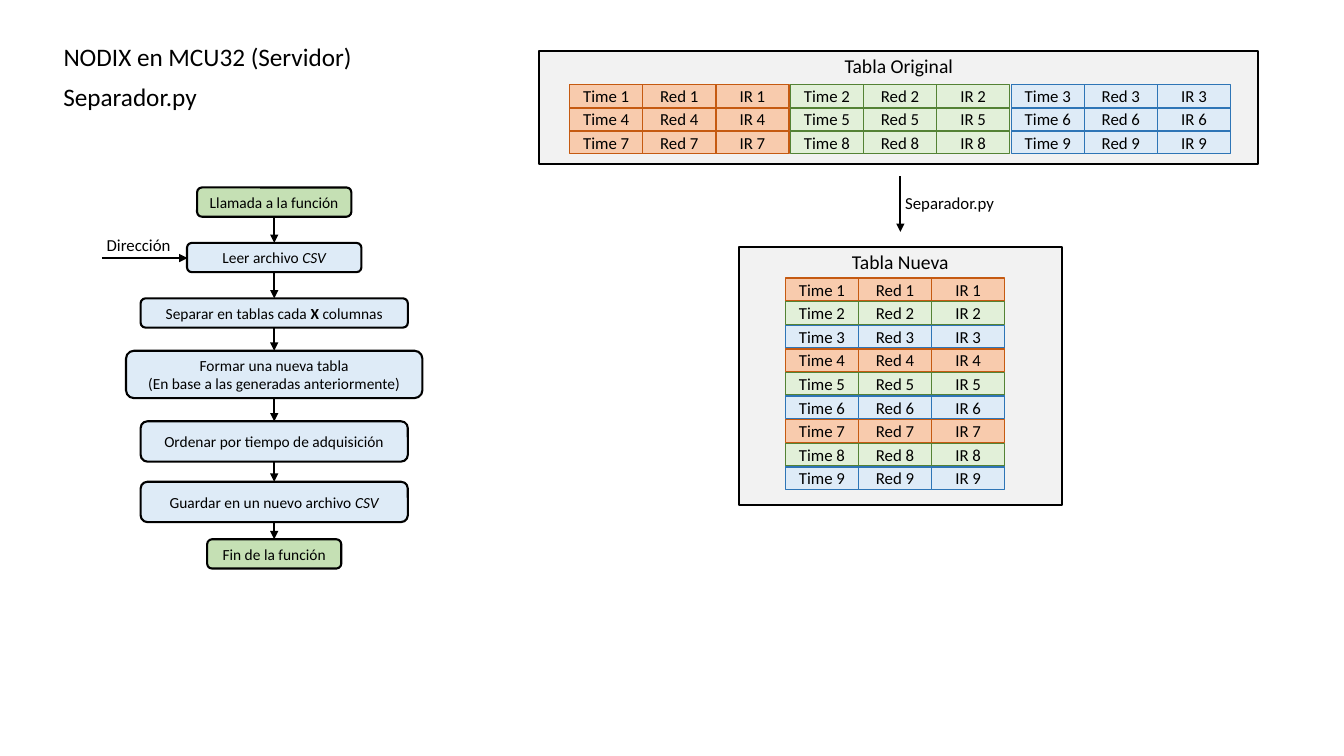
from dataclasses import dataclass

from lxml import etree
from pptx import Presentation
from pptx.dml.color import RGBColor
from pptx.enum.shapes import MSO_CONNECTOR, MSO_SHAPE
from pptx.enum.text import MSO_ANCHOR, PP_ALIGN
from pptx.oxml.ns import qn
from pptx.util import Inches, Pt

RECT, ROUNDED = MSO_SHAPE.RECTANGLE, MSO_SHAPE.ROUNDED_RECTANGLE
STRAIGHT = MSO_CONNECTOR.STRAIGHT
LEFT, CENTER = PP_ALIGN.LEFT, PP_ALIGN.CENTER
TOP, MIDDLE = MSO_ANCHOR.TOP, MSO_ANCHOR.MIDDLE
TOP_SITE, BOTTOM_SITE = 0, 2


@dataclass(frozen=True)
class Theme:
    font: str = "Calibri"
    ink: str = "000000"
    panel: str = "F2F2F2"
    step: str = "DEEBF7"
    terminal: str = "C5E0B4"
    # Fill and border of each of the three record groups
    groups: tuple = (("F8CBAD", "C55A11"), ("E2F0D9", "548235"), ("DEEBF7", "2E75B6"))
    heading_size: float = 18
    panel_size: float = 14
    cell_size: float = 12
    step_size: float = 11
    outline: float = 1.5
    cell_border: float = 1


THEME = Theme()

# Content: a line is a list of (text, style) pieces
TITLE = "NODIX en MCU32 (Servidor)"
SCRIPT_NAME = "Separador.py"
INPUT_NAME = "Dirección"
FIELDS = ("Time", "Red", "IR")
GROUP_COUNT = 3
RECORD_COUNT = 9

# Flow steps: lines, top, width, height, fill
FLOW = [
    ([[("Llamada a la función", "")]], 1.86, 1.53, 0.29, THEME.terminal),
    ([[("Leer archivo ", ""), ("CSV", "italic")]], 2.41, 1.73, 0.29, THEME.step),
    ([[("Separar en tablas cada ", ""), ("X ", "bold"), ("columnas", "")]],
     2.96, 2.65, 0.29, THEME.step),
    ([[("Formar una nueva tabla", "")], [("(En base a las generadas anteriormente)", "")]],
     3.48, 2.94, 0.47, THEME.step),
    ([[("Ordenar por tiempo de adquisición", "")]], 4.18, 2.65, 0.4, THEME.step),
    ([[("Guardar en un nuevo archivo ", ""), ("CSV", "italic")]], 4.78, 2.65, 0.4, THEME.step),
    ([[("Fin de la función", "")]], 5.35, 1.33, 0.29, THEME.terminal),
]

# Panels: heading, then left, top, width, height
ORIGINAL_PANEL = ("Tabla Original", (5.35, 0.51, 7.13, 1.12))
NEW_PANEL = ("Tabla Nueva", (7.33, 2.45, 3.2, 2.56))

# Layout in inches
FLOW_CENTER = 2.72
TABLE_CENTER = 8.93
CELL_WIDTH, CELL_HEIGHT = 0.725, 0.225
ORIGINAL_LEFT, ORIGINAL_TOP, ORIGINAL_PITCH = 5.65, 0.84, 0.23
GROUP_PITCH = 2.19
NEW_LEFT, NEW_TOP, NEW_PITCH = 7.79, 2.76, 0.234

prs = Presentation()
prs.slide_width, prs.slide_height = Inches(13.33), Inches(7.5)
slide = prs.slides.add_slide(prs.slide_layouts[5])
shapes = slide.shapes


def style_run(run, size):
    run.font.name = THEME.font
    run.font.size = Pt(size)
    run.font.color.rgb = RGBColor.from_string(THEME.ink)


def write_line(paragraph, pieces, size, align):
    paragraph.alignment = align
    for text, style in pieces:
        run = paragraph.add_run()
        run.text = text
        style_run(run, size)
        if style == "bold":
            run.font.bold = True
        elif style == "italic":
            run.font.italic = True


def add_box(kind, place, fill, border, border_width, lines=(), size=THEME.cell_size):
    box = shapes.add_shape(kind, *map(Inches, place))
    box.shadow.inherit = False
    box.fill.solid()
    box.fill.fore_color.rgb = RGBColor.from_string(fill)
    box.line.color.rgb = RGBColor.from_string(border)
    box.line.width = Pt(border_width)
    frame = box.text_frame
    frame.vertical_anchor = MIDDLE
    frame.margin_left = frame.margin_right = Inches(0.05)
    frame.margin_top = frame.margin_bottom = 0
    for index, pieces in enumerate(lines):
        paragraph = frame.add_paragraph() if index else frame.paragraphs[0]
        write_line(paragraph, pieces, size, CENTER)
    return box


def add_label(text, place, size, align=LEFT):
    label = shapes.add_textbox(*map(Inches, place))
    label.text_frame.word_wrap = True
    write_line(label.text_frame.paragraphs[0], [(text, "")], size, align)


def add_arrow(start=(0, 0), end=(0, 0)):
    arrow = shapes.add_connector(STRAIGHT, *map(Inches, (*start, *end)))
    arrow.line.color.rgb = RGBColor.from_string(THEME.ink)
    arrow.line.width = Pt(THEME.outline)
    etree.SubElement(arrow.line._get_or_add_ln(), qn("a:tailEnd"), type="triangle")
    etree.SubElement(arrow._element.spPr, qn("a:effectLst"))
    return arrow


def add_panel(heading, place):
    left, top, width, height = place
    add_box(RECT, place, THEME.panel, THEME.ink, THEME.outline)
    add_label(heading, (left, top - 0.02, width, 0.34), THEME.panel_size, CENTER)


def add_record(number, left, top):
    fill, border = THEME.groups[(number - 1) % GROUP_COUNT]
    for column, field in enumerate(FIELDS):
        place = (left + column * CELL_WIDTH, top, CELL_WIDTH, CELL_HEIGHT)
        add_box(RECT, place, fill, border, THEME.cell_border, [[(f"{field} {number}", "")]])


# Headings
title = shapes.title
title.left, title.top, title.width, title.height = map(Inches, (0.53, 0.36, 4, 0.4))
title.text_frame.text = TITLE
title.text_frame.vertical_anchor = TOP
title.text_frame.paragraphs[0].alignment = LEFT
style_run(title.text_frame.paragraphs[0].runs[0], THEME.heading_size)
add_label(SCRIPT_NAME, (0.53, 0.76, 4, 0.4), THEME.heading_size)

# Flowchart
steps = [
    add_box(ROUNDED, (FLOW_CENTER - width / 2, top, width, height), fill,
            THEME.ink, THEME.outline, lines, THEME.step_size)
    for lines, top, width, height, fill in FLOW
]
for previous, following in zip(steps, steps[1:]):
    link = add_arrow()
    link.begin_connect(previous, BOTTOM_SITE)
    link.end_connect(following, TOP_SITE)

# Input to the reading step
add_arrow((1.01, 2.56), (1.86, 2.56))
add_label(INPUT_NAME, (0.96, 2.28, 0.9, 0.3), THEME.cell_size)

# Source table: three records side by side in each row
add_panel(*ORIGINAL_PANEL)
for index in range(RECORD_COUNT):
    row, group = divmod(index, GROUP_COUNT)
    add_record(index + 1, ORIGINAL_LEFT + group * GROUP_PITCH,
               ORIGINAL_TOP + row * ORIGINAL_PITCH)

# Conversion
add_arrow((TABLE_CENTER, 1.75), (TABLE_CENTER, 2.3))
add_label(SCRIPT_NAME, (8.88, 1.86, 1.2, 0.3), THEME.cell_size)

# Result table: one record in each row
add_panel(*NEW_PANEL)
for index in range(RECORD_COUNT):
    add_record(index + 1, NEW_LEFT, NEW_TOP + index * NEW_PITCH)

prs.save("out.pptx")
